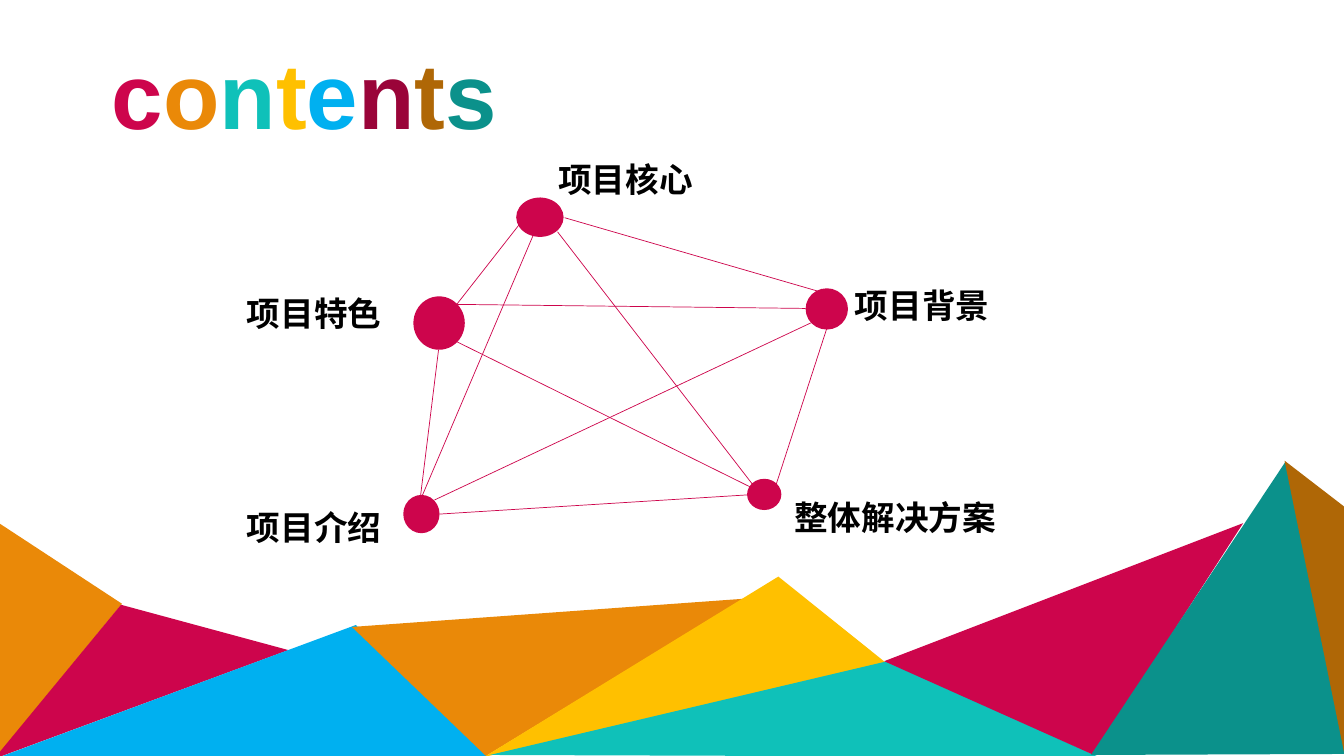
from lxml import etree
from pptx import Presentation
from pptx.dml.color import RGBColor
from pptx.enum import shapes, text
from pptx.oxml import ns
from pptx.util import Inches, Pt

# Theme
THEME = {
    "crimson": "CD054C", "orange": "EA8908", "turquoise": "0FC1B9",
    "yellow": "FFC000", "blue": "00B0F0", "wine": "9A0439",
    "brown": "AF6706", "teal": "0B918B", "black": "000000",
    "title_font": "Arial", "label_font": "Noto Sans CJK SC",
    "title_size": Pt(66), "label_size": Pt(24), "line_width": Pt(0.5),
}

# Content: text with colours, boxes as left, top, width, height
TITLE_BOX = (1.01, 0.32, 5.33, 1.21)
TITLE = [("c", "crimson"), ("o", "orange"), ("n", "turquoise"), ("t", "yellow"),
         ("e", "blue"), ("n", "wine"), ("t", "brown"), ("s", "teal")]

TOPICS = [  # label, label box, node box
    ("项目核心", (5.44, 1.53, 2.34, 0.5), (5.12, 1.96, 0.47, 0.39)),
    ("项目背景", (8.38, 2.78, 1.62, 0.5), (7.99, 2.86, 0.42, 0.41)),
    ("整体解决方案", (7.78, 4.88, 2.21, 0.5), (7.41, 4.75, 0.34, 0.31)),
    ("项目介绍", (2.35, 4.98, 1.62, 0.5), (4, 4.91, 0.36, 0.38)),
    ("项目特色", (2.35, 2.86, 1.62, 0.5), (4.1, 2.94, 0.51, 0.53)),
]

LINKS = [  # start x, start y, end x, end y
    (4.36, 5.1, 7.41, 4.91), (7.7, 4.8, 8.2, 3.26),
    (8.22, 2.92, 5.6, 2.16), (5.36, 1.96, 4.53, 3.02),
    (4.53, 3.02, 7.99, 3.06), (7.56, 4.89, 4.53, 3.39),
    (4.31, 4.96, 8.05, 3.2), (5.32, 2.26, 4.17, 4.96),
    (4.35, 3.47, 4.15, 5.09), (5.53, 2.3, 7.46, 4.8),
]

MOUNTAINS = [  # colour, three corners
    ("orange", [(-0.04, 7.52), (-0.04, 5.17), (1.21, 5.99)]),
    ("crimson", [(-0.06, 7.53), (1.2, 6), (2.86, 6.45)]),
    ("blue", [(-0.03, 7.52), (3.53, 6.2), (4.86, 7.51)]),
    ("orange", [(3.49, 6.22), (7.38, 5.94), (4.82, 7.5)]),
    ("yellow", [(8.78, 6.57), (4.8, 7.51), (7.72, 5.72)]),
    ("turquoise", [(10.9, 7.51), (4.86, 7.49), (8.8, 6.56)]),
    ("crimson", [(10.85, 7.49), (8.77, 6.56), (12.33, 5.19)]),
    ("teal", [(13.37, 7.48), (10.82, 7.49), (12.75, 4.58)]),
    ("brown", [(13.35, 5.04), (13.33, 7.46), (12.74, 4.57)]),
]


def inches(values):
    return [Inches(value) for value in values]


def colour(name):
    return RGBColor.from_string(THEME[name])


def paint(shape, name):
    shape.shadow.inherit = False
    shape.fill.solid()
    shape.fill.fore_color.rgb = colour(name)
    shape.line.fill.background()


def add_mountain(page, name, corners):
    start, *others = [inches(corner) for corner in corners]
    builder = page.shapes.build_freeform(*start, scale=1.0)
    builder.add_line_segments(others, close=True)
    paint(builder.convert_to_shape(), name)


def add_text(page, bounds, pieces, role):
    box = page.shapes.add_textbox(*inches(bounds))
    frame = box.text_frame
    frame.word_wrap = True
    frame.auto_size = text.MSO_AUTO_SIZE.SHAPE_TO_FIT_TEXT
    face = THEME[role + "_font"]
    style = {"name": face, "size": THEME[role + "_size"], "bold": True}
    for words, name in pieces:
        span = frame.paragraphs[0].add_run()
        span.text = words
        for key, value in style.items():
            setattr(span.font, key, value)
        span.font.color.rgb = colour(name)
        # East Asian characters take their own typeface element
        etree.SubElement(span.font._element, ns.qn("a:ea"), typeface=face)


def add_link(page, ends):
    link = page.shapes.add_connector(shapes.MSO_CONNECTOR.STRAIGHT, *inches(ends))
    link.line.width = THEME["line_width"]
    link.line.color.rgb = colour("crimson")
    etree.SubElement(link._element.spPr, ns.qn("a:effectLst"))


def main():
    deck = Presentation()
    deck.slide_width, deck.slide_height = inches((13.33, 7.5))
    page = deck.slides.add_slide(deck.slide_layouts[6])

    # Mountain range along the bottom
    for name, corners in MOUNTAINS:
        add_mountain(page, name, corners)

    # Title
    add_text(page, TITLE_BOX, TITLE, "title")

    # Network of topics
    for label, label_box, node_box in TOPICS:
        node = page.shapes.add_shape(shapes.MSO_SHAPE.OVAL, *inches(node_box))
        paint(node, "crimson")
        add_text(page, label_box, [(label, "black")], "label")
    for ends in LINKS:
        add_link(page, ends)

    deck.save("out.pptx")


if __name__ == "__main__":
    main()
